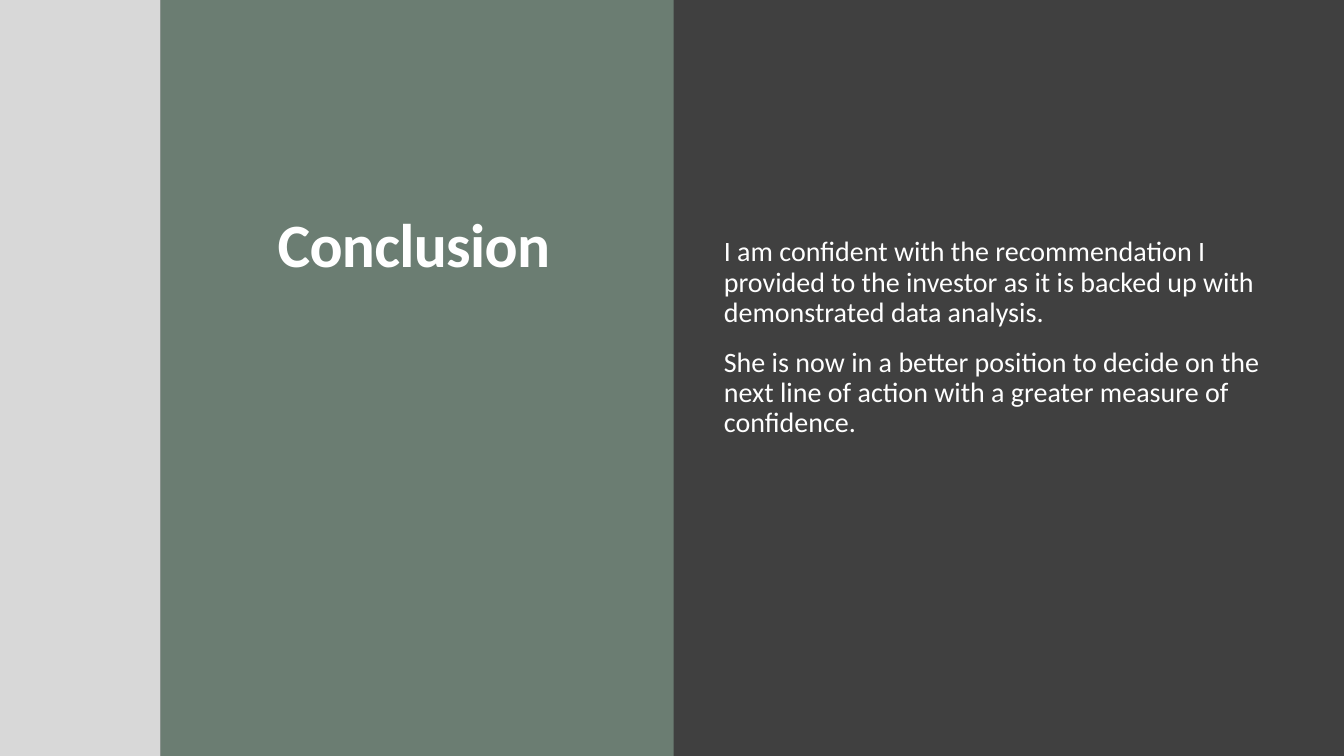
from pptx import Presentation
from pptx import util as u
from pptx.dml.color import RGBColor
from pptx.enum import shapes, text
from pptx.oxml.ns import qn
from lxml import etree

TITLE = "Conclusion"
BODY = [
    "I am confident with the recommendation I provided to the investor "
    "as it is backed up with demonstrated data analysis.",
    "She is now in a better position to decide on the next line of action "
    "with a greater measure of confidence.",
]
COLORS = {"dark": "404040", "green": "6B7D72", "white": "FFFFFF"}
FONT = "Calibri"
WIDTH, HEIGHT = 13.33, 7.5
STRIP_W, PANEL_W = 1.59, 5.09
TITLE_BOX = (2.07, 1.22, 4.07, 2.49)
BODY_BOX = (7.18, 0.27, 5.53, 6.17)


def rgb(name):
    return RGBColor.from_string(COLORS[name])


def add_panel(s, left, width, color):
    sp = s.shapes.add_shape(shapes.MSO_SHAPE.RECTANGLE, u.Inches(left), 0,
                            u.Inches(width), u.Inches(HEIGHT))
    sp.shadow.inherit = False
    sp.fill.solid()
    sp.fill.fore_color.rgb = rgb(color)
    sp.line.fill.background()
    return sp


def add_text(s, box, paragraphs, size, spacing, side_inset=0.1):
    """Add a vertically centred text box and return its text frame."""
    tf = s.shapes.add_textbox(*map(u.Inches, box)).text_frame
    tf.word_wrap = True
    tf.vertical_anchor = text.MSO_ANCHOR.MIDDLE
    tf.margin_left = tf.margin_right = u.Inches(side_inset)
    for i, words in enumerate(paragraphs):
        p = tf.add_paragraph() if i else tf.paragraphs[0]
        p.line_spacing = spacing
        r = p.add_run()
        r.text = words
        r.font.name, r.font.size = FONT, u.Pt(size)
        r.font.color.rgb = rgb("white")
    return tf


def main():
    prs = Presentation()
    prs.slide_width, prs.slide_height = u.Inches(WIDTH), u.Inches(HEIGHT)
    s = prs.slides.add_slide(prs.slide_layouts[6])
    s.background.fill.solid()
    s.background.fill.fore_color.rgb = rgb("dark")

    add_panel(s, 0, WIDTH, "dark")
    add_panel(s, STRIP_W, PANEL_W, "green")
    strip = add_panel(s, 0, STRIP_W, "white")
    color = strip.fill._xPr.find(qn("a:solidFill"))[0]
    etree.SubElement(color, qn("a:alpha"), val="80000")

    p = add_text(s, TITLE_BOX, [TITLE], 44, 0.85).paragraphs[0]
    p.alignment = text.PP_ALIGN.CENTER
    p.runs[0].font.bold = True
    p.runs[0].font._element.set("spc", "-50")

    for p in add_text(s, BODY_BOX, BODY, 20, 0.9, 0).paragraphs:
        p.space_before, p.space_after = u.Pt(12), u.Pt(2)

    prs.save("out.pptx")


if __name__ == "__main__":
    main()
